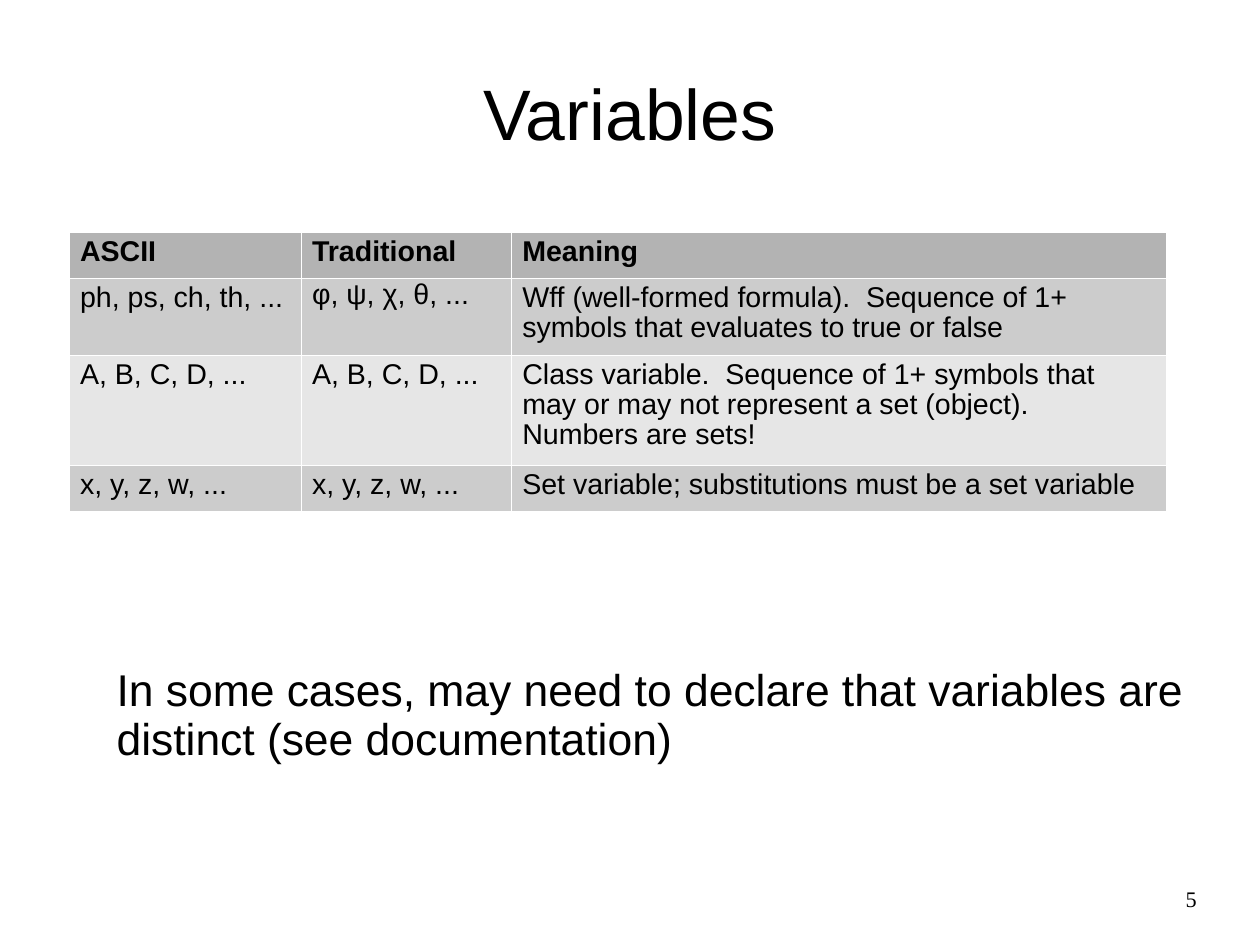
"""Build the slide on variables, with a table of their notations and meanings."""
from lxml.etree import SubElement
from pptx import Presentation
from pptx.dml.color import RGBColor
from pptx.enum.text import MSO_ANCHOR as Anchor, MSO_AUTO_SIZE as AutoSize, PP_ALIGN as Align
from pptx.oxml.ns import qn
from pptx.util import Cm, Inches, Pt

TITLE = "Variables"
NOTATIONS = [
    ("ASCII", "Traditional", "Meaning"),
    ("ph, ps, ch, th, ...", "φ, ψ, χ, θ, ...",
     "Wff (well-formed formula).  Sequence of 1+ symbols that evaluates to true or false"),
    ("A, B, C, D, ...", "A, B, C, D, ...",
     "Class variable.  Sequence of 1+ symbols that may or may not represent "
     "a set (object).  Numbers are sets!"),
    ("x, y, z, w, ...", "x, y, z, w, ...",
     "Set variable; substitutions must be a set variable"),
]
REMARK = "In some cases, may need to declare that variables are distinct (see documentation)"
PAGE = "5"

COLUMN_WIDTHS = (2.03, 1.84, 5.73)
ROW_HEIGHTS = (0.4, 0.68, 0.96, 0.4)
HEADER_FILL, BAND_FILLS = "B3B3B3", ("E6E6E6", "CCCCCC")
GREEK_CELL = (1, 1)
BLACK, WHITE = "000000", "FFFFFF"


def color(code):
    return RGBColor.from_string(code)


def write(frame, text, size, font="Arial", bold=False, align=Align.LEFT, spacing=0.93):
    frame.word_wrap = True
    paragraph = frame.paragraphs[0]
    paragraph.text = text
    paragraph.alignment = align
    paragraph.line_spacing = spacing
    paragraph.font.name = font
    paragraph.font.size = Pt(size)
    paragraph.font.bold = bold
    paragraph.font.color.rgb = color(BLACK)


def set_margins(frame, left=0, top=0):
    frame.margin_left, frame.margin_top = Inches(left), Inches(top)
    frame.margin_right = frame.margin_bottom = 0


def add_borders(cell):
    properties = cell._tc.get_or_add_tcPr()
    for side in ("lnL", "lnR", "lnT", "lnB"):
        line = SubElement(properties, qn(f"a:{side}"), w=str(Pt(0.06)))
        SubElement(SubElement(line, qn("a:solidFill")), qn("a:srgbClr"), val=WHITE)


def add_title(slide):
    title = slide.shapes.title
    title.left, title.top, title.width, title.height = map(Inches, (0.55, 0.32, 9.92, 1.36))
    frame = title.text_frame
    frame.auto_size = AutoSize.NONE
    frame.vertical_anchor = Anchor.MIDDLE
    set_margins(frame, top=0.04)
    write(frame, TITLE, 45, align=Align.CENTER)


def add_notations(slide):
    table = slide.shapes.add_table(
        len(NOTATIONS), len(COLUMN_WIDTHS), Inches(0.6), Inches(2.03),
        Inches(sum(COLUMN_WIDTHS)), Inches(sum(ROW_HEIGHTS))).table
    for column, width in zip(table.columns, COLUMN_WIDTHS):
        column.width = Inches(width)
    for r, (texts, height) in enumerate(zip(NOTATIONS, ROW_HEIGHTS)):
        table.rows[r].height = Inches(height)
        for c, text in enumerate(texts):
            cell = table.cell(r, c)
            add_borders(cell)
            cell.fill.solid()
            cell.fill.fore_color.rgb = color(BAND_FILLS[r % 2] if r else HEADER_FILL)
            write(cell.text_frame, text, 18, bold=r == 0,
                  spacing=0.83 if (r, c) == GREEK_CELL else 0.93)


def add_text(slide, box, text, size, left=0, top=0, **style):
    frame = slide.shapes.add_textbox(*map(Inches, box)).text_frame
    set_margins(frame, left, top)
    write(frame, text, size, **style)


def main():
    deck = Presentation()
    deck.slide_width, deck.slide_height = Cm(28), Cm(21)
    slide = deck.slides.add_slide(deck.slide_layouts[5])
    add_title(slide)
    add_notations(slide)
    add_text(slide, (0.55, 5.8, 9.92, 1.73), REMARK, 28, left=0.47, top=0.03)
    add_text(slide, (7.9, 7.76, 2.57, 0.34), PAGE, 14,
             font="Times New Roman", align=Align.RIGHT, spacing=0.95)
    deck.save("out.pptx")


if __name__ == "__main__":
    main()
